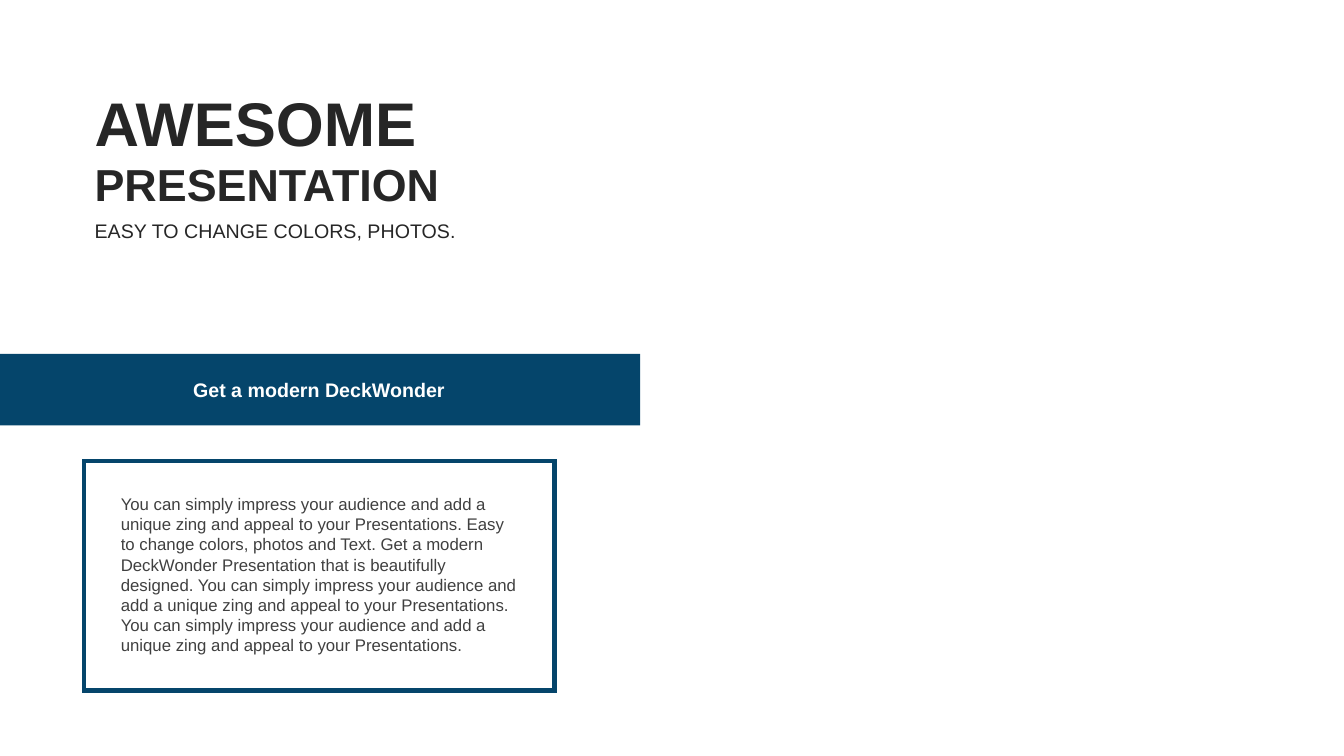
from lxml.etree import SubElement
from pptx import Presentation
from pptx.dml.color import RGBColor
from pptx.enum.shapes import MSO_SHAPE
from pptx.enum.text import MSO_ANCHOR, MSO_AUTO_SIZE, PP_ALIGN
from pptx.oxml.ns import qn
from pptx.util import Inches, Pt

NAVY = RGBColor(0x05, 0x45, 0x6B)
INK = RGBColor(0x26, 0x26, 0x26)
GRAY = RGBColor(0x40, 0x40, 0x40)
WHITE = RGBColor(0xFF, 0xFF, 0xFF)

HEADINGS = [
    ("AWESOME", 0.79, 0.84, 44, True),
    ("PRESENTATION", 1.5, 0.64, 32, True),
    ("EASY TO CHANGE COLORS, PHOTOS.", 2.12, 0.34, 14, False),
]
BANNER = "Get a modern DeckWonder"
IMPRESS = ("You can simply impress your audience and add a unique zing "
           "and appeal to your Presentations.")
BODY = (f"{IMPRESS} Easy to change colors, photos and Text. {BANNER} "
        f"Presentation that is beautifully designed. {IMPRESS} {IMPRESS}")

WIDTH, HEIGHT = 13.33, 7.5
LEFT, COLUMN = 0.84, 4.65
BAND = (0, 3.51, 6.35, 0.71)
FRAME = (0.83, 4.57, 4.67, 2.28)
PAD_X, PAD_Y = 0.27, 0.28
LABEL_TOP, LABEL_WIDTH, LABEL_HEIGHT = 3.7, 3.96, 0.34

prs = Presentation()
prs.slide_width, prs.slide_height = Inches(WIDTH), Inches(HEIGHT)
s = prs.slides.add_slide(prs.slide_layouts[6])


def add_text(text, box, size, color=INK, bold=False,
             align=PP_ALIGN.LEFT, anchor=MSO_ANCHOR.TOP):
    tf = s.shapes.add_textbox(*map(Inches, box)).text_frame
    tf.word_wrap = True
    tf.auto_size = MSO_AUTO_SIZE.SHAPE_TO_FIT_TEXT
    tf.vertical_anchor = anchor
    p = tf.paragraphs[0]
    p.alignment = align
    r = p.add_run()
    r.text = text
    r.font.name = "Arial"
    r.font.size = Pt(size)
    r.font.bold = bold
    r.font.color.rgb = color


def add_rect(box):
    sp = s.shapes.add_shape(MSO_SHAPE.RECTANGLE, *map(Inches, box))
    sp.shadow.inherit = False
    return sp


band = add_rect(BAND)
band.fill.solid()
band.fill.fore_color.rgb = NAVY
band.line.fill.background()

frame = add_rect(FRAME)
frame.fill.background()
frame.line.color.rgb = NAVY
frame.line.width = Pt(3)
outline = frame.line.fill._xPr
SubElement(outline, qn("a:miter"), lim="800000")

x, y, w, h = FRAME
add_text(BODY, (x + PAD_X, y + PAD_Y, w - 2 * PAD_X, h - 2 * PAD_Y), 12, GRAY)

label_left = x + (w - LABEL_WIDTH) / 2
add_text(BANNER, (label_left, LABEL_TOP, LABEL_WIDTH, LABEL_HEIGHT), 14,
         WHITE, bold=True, align=PP_ALIGN.CENTER)

for text, top, height, size, bold in HEADINGS:
    add_text(text, (LEFT, top, COLUMN, height), size, bold=bold,
             align=PP_ALIGN.JUSTIFY, anchor=MSO_ANCHOR.MIDDLE)

prs.save("out.pptx")
